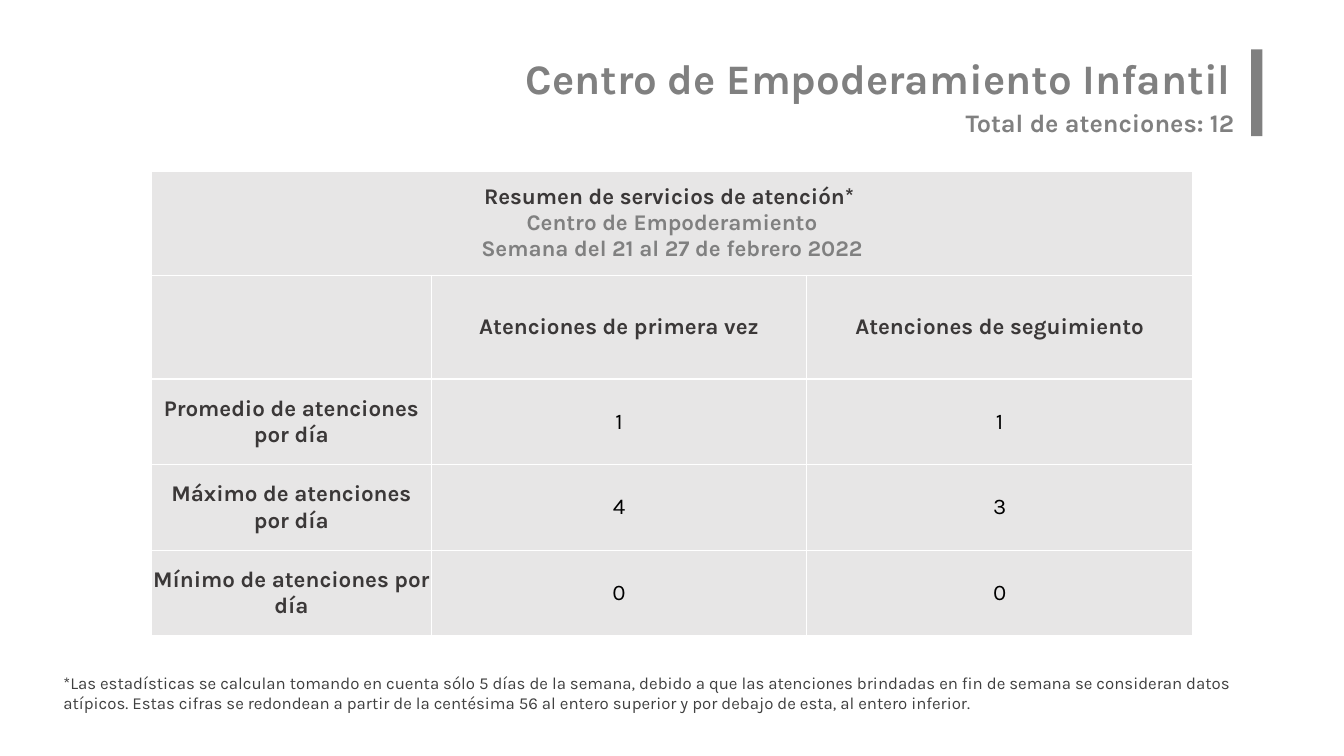
from dataclasses import dataclass

from lxml import etree
from pptx import Presentation
from pptx.dml.color import RGBColor
from pptx.enum import shapes, text
from pptx.oxml.ns import qn
from pptx.util import Inches, Pt

FONT = "Karla"
GRAY, DARK, BLACK = "808080", "3B3838", "000000"
CELL_FILL, WHITE = "E7E6E6", "FFFFFF"
LEFT, CENTER, RIGHT = text.PP_ALIGN.LEFT, text.PP_ALIGN.CENTER, text.PP_ALIGN.RIGHT
TOP, MIDDLE = text.MSO_ANCHOR.TOP, text.MSO_ANCHOR.MIDDLE


@dataclass
class Line:
    text: str
    size: float = 16
    color: str = DARK
    bold: bool = True
    align: text.PP_ALIGN = CENTER


@dataclass
class Box:
    left: float
    top: float
    width: float
    height: float

    def lengths(self) -> list:
        return [Inches(v) for v in (self.left, self.top, self.width, self.height)]


def rgb(color: str) -> RGBColor:
    return RGBColor.from_string(color)


def write(tf, lines: list[Line]) -> None:
    for i, line in enumerate(lines):
        p = tf.paragraphs[0] if i == 0 else tf.add_paragraph()
        p.text = line.text
        p.alignment = line.align
        p.font.name = FONT
        p.font.size = Pt(line.size)
        p.font.bold = line.bold
        p.font.color.rgb = rgb(line.color)


def set_frame(sp, box: Box, line: Line, inset_x: float = 0.1, inset_y: float = 0.05) -> None:
    sp.left, sp.top, sp.width, sp.height = box.lengths()
    tf = sp.text_frame
    tf.word_wrap = True
    tf.auto_size = text.MSO_AUTO_SIZE.NONE
    tf.vertical_anchor = TOP
    tf.margin_left = tf.margin_right = Inches(inset_x)
    tf.margin_top = tf.margin_bottom = Inches(inset_y)
    write(tf, [line])


def add_text(s, box: Box, line: Line) -> None:
    set_frame(s.shapes.add_textbox(*box.lengths()), box, line)


def format_cell(cell) -> None:
    cell.margin_left = cell.margin_right = cell.margin_top = cell.margin_bottom = 0
    cell.vertical_anchor = MIDDLE
    pr = cell._tc.get_or_add_tcPr()
    for side in ("a:lnL", "a:lnR", "a:lnT", "a:lnB"):
        ln = etree.SubElement(pr, qn(side), w=str(Pt(1)))
        fill = etree.SubElement(ln, qn("a:solidFill"))
        etree.SubElement(fill, qn("a:srgbClr"), val=WHITE)
    cell.fill.solid()
    cell.fill.fore_color.rgb = rgb(CELL_FILL)


def add_summary(s, box: Box, widths: list[float], heights: list[float],
                rows: list[list[list[Line]]]) -> None:
    table = s.shapes.add_table(len(heights), len(widths), *box.lengths()).table
    table.first_row = table.horz_banding = False
    for column, width in zip(table.columns, widths):
        column.width = Inches(width)
    for row, height in zip(table.rows, heights):
        row.height = Inches(height)
    for cell in table.iter_cells():
        format_cell(cell)
    table.cell(0, 0).merge(table.cell(0, len(widths) - 1))
    for r, row in enumerate(rows):
        for c, lines in enumerate(row):
            write(table.cell(r, c).text_frame, lines)


prs = Presentation()
prs.slide_width, prs.slide_height = Inches(13.33), Inches(7.5)
s = prs.slides.add_slide(prs.slide_layouts[5])

bar = s.shapes.add_shape(shapes.MSO_SHAPE.RECTANGLE, *Box(12.41, 0.49, 0.11, 0.86).lengths())
bar.shadow.inherit = False
bar.fill.solid()
bar.fill.fore_color.rgb = rgb(GRAY)
bar.line.fill.background()

heading = [
    Line("Resumen de servicios de atención* "),
    Line("Centro de Empoderamiento", color=GRAY),
    Line("Semana del 21 al 27 de febrero 2022", color=GRAY),
]
columns = [[], [Line("Atenciones de primera vez")], [Line("Atenciones de seguimiento")]]
statistics = [("Promedio", 1, 1), ("Máximo", 4, 3), ("Mínimo", 0, 0)]
body = [
    [[Line(f"{name} de atenciones por día")]]
    + [[Line(str(value), color=BLACK, bold=False)] for value in values]
    for name, *values in statistics
]
add_summary(s, Box(1.5, 1.7, 10.33, 4.61), [2.78, 3.72, 3.83],
            [1.03] * 2 + [0.85] * 3, [[heading], columns, *body])

add_text(s, Box(0.53, 6.62, 11.88, 0.5), Line(
    "*Las estadísticas se calculan tomando en cuenta sólo 5 días de la semana, debido a que "
    "las atenciones brindadas en fin de semana se consideran datos atípicos. Estas cifras se "
    "redondean a partir de la centésima 56 al entero superior y por debajo de esta, al entero "
    "inferior.", 12, "404040", False, LEFT))
set_frame(s.shapes.title, Box(2.14, 0.42, 10.27, 0.87),
          Line("Centro de Empoderamiento Infantil", 30, GRAY, align=RIGHT), 0.2, 0.1)
add_text(s, Box(9.48, 1.02, 2.93, 0.4), Line("Total de atenciones: 12", 18, GRAY, align=LEFT))

prs.save("out.pptx")
